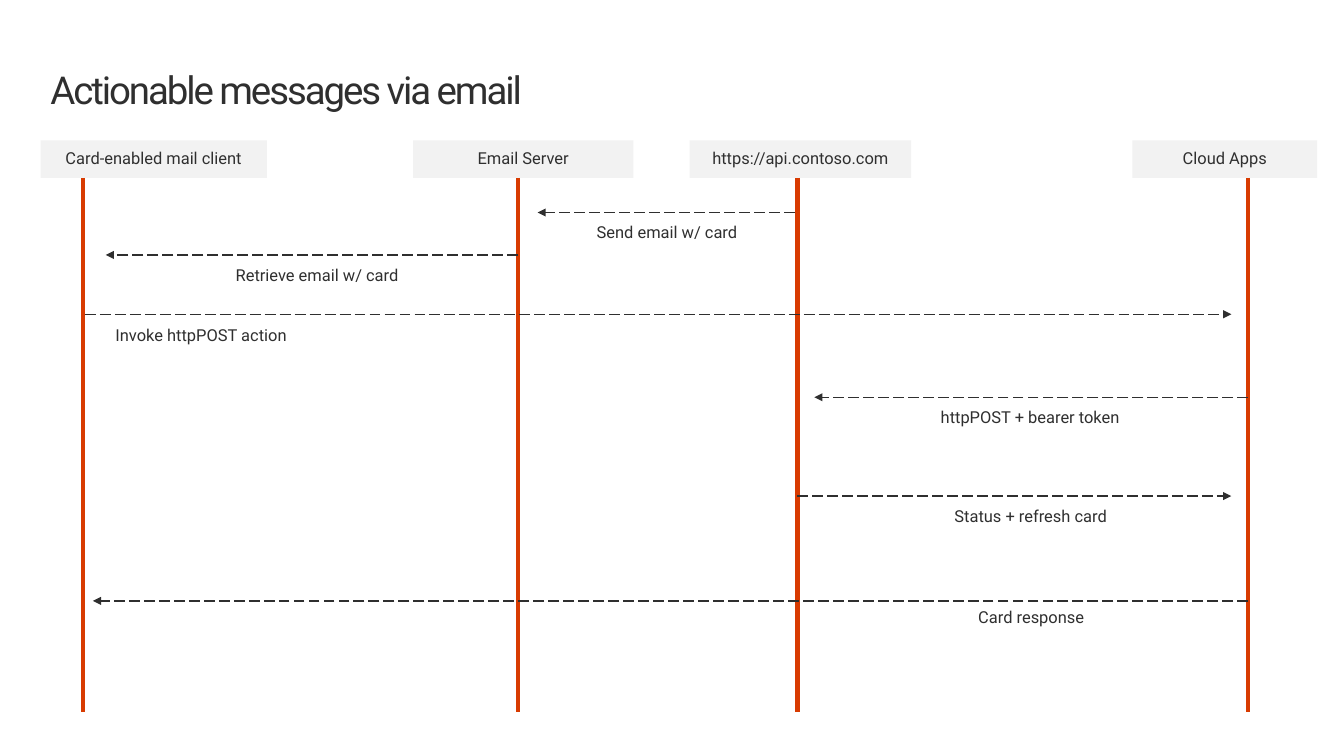
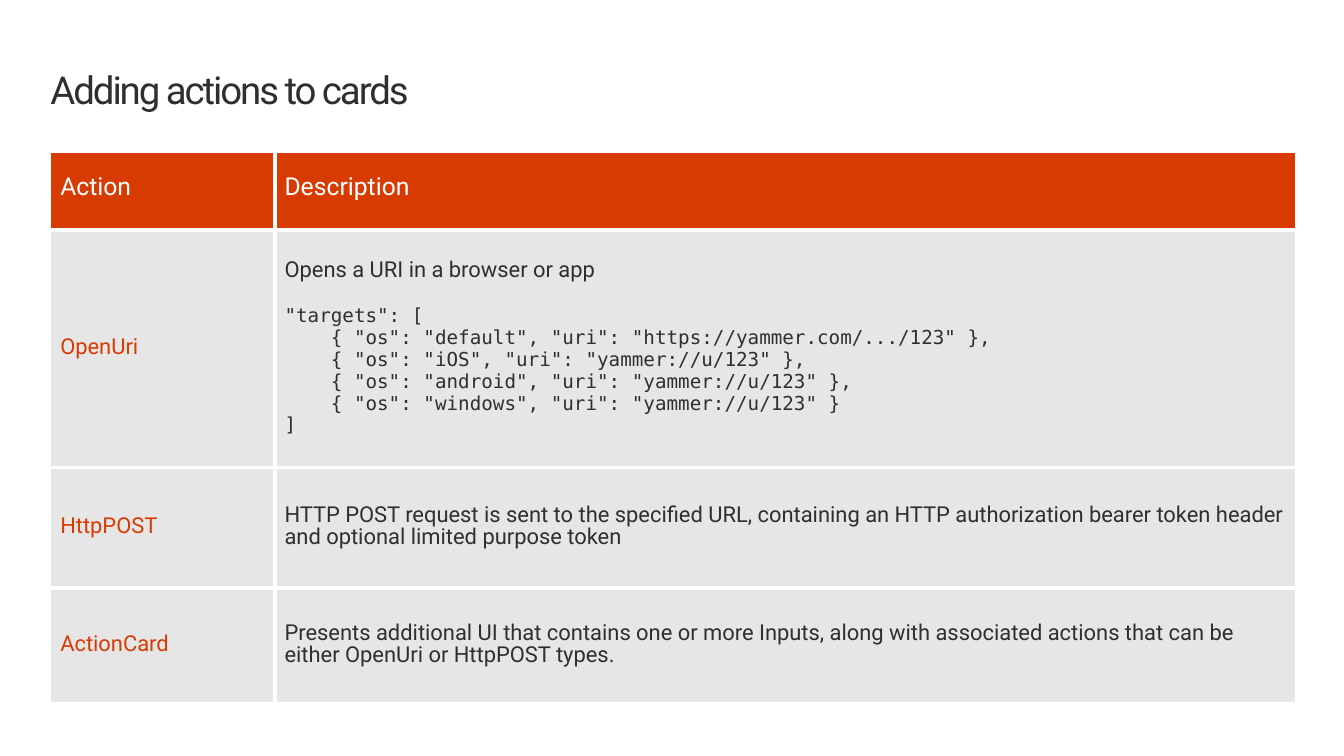
import lxml.etree
import pptx
import pptx.dml.color
import pptx.enum.dml
import pptx.enum.shapes
import pptx.enum.text
import pptx.oxml
import pptx.oxml.ns
import pptx.util

EMU_PER_PX = 9144
LEFT = pptx.enum.text.PP_ALIGN.LEFT
CENTER = pptx.enum.text.PP_ALIGN.CENTER
MIDDLE = pptx.enum.text.MSO_ANCHOR.MIDDLE


def px(length):
    return pptx.util.Emu(length * EMU_PER_PX)


def color(value):
    return pptx.dml.color.RGBColor.from_string(value)


class Deck:
    FONT = "Roboto"
    CODE_FONT = "DejaVu Sans Mono"
    INK = "2F2F2F"
    ACCENT = "D83B01"
    PAPER = "FFFFFF"
    ACTOR_FILL = "F2F2F2"
    CELL_FILL = "E6E6E6"

    def __init__(self, width, height):
        self.presentation = pptx.Presentation()
        self.presentation.slide_width = px(width)
        self.presentation.slide_height = px(height)
        self.slide = None

    def add_slide(self, title):
        self.slide = self.presentation.slides.add_slide(self.presentation.slide_layouts[6])
        frame = self.text_box(51, 69, 1261, 45, margin=0)
        frame.word_wrap = True
        frame.text = title
        paragraph = frame.paragraphs[0]
        self.style(paragraph, 28, spacing=pptx.util.Pt(32))
        paragraph.runs[0].font._element.set("spc", "-150")

    def style(self, paragraph, size, ink=INK, font=FONT, align=LEFT, spacing=0.9):
        paragraph.alignment = align
        paragraph.line_spacing = spacing
        for run in paragraph.runs:
            run.font.name = font
            run.font.size = pptx.util.Pt(size)
            run.font.color.rgb = color(ink)

    def set_margins(self, frame, horizontal, vertical):
        frame.margin_left = frame.margin_right = px(horizontal)
        frame.margin_top = frame.margin_bottom = px(vertical)

    def text_box(self, left, top, width, height, margin):
        frame = self.slide.shapes.add_textbox(px(left), px(top), px(width), px(height)).text_frame
        self.set_margins(frame, margin, margin)
        frame.auto_size = pptx.enum.text.MSO_AUTO_SIZE.SHAPE_TO_FIT_TEXT
        return frame

    def label(self, text, left, top, width, align):
        frame = self.text_box(left, top, width, 38, margin=10)
        frame.word_wrap = False
        frame.vertical_anchor = MIDDLE
        frame.text = text
        self.style(frame.paragraphs[0], 12, align=align)
        frame.paragraphs[0].space_after = pptx.util.Pt(6)

    def actor(self, text, left, width, top, height):
        shape = self.slide.shapes.add_shape(
            pptx.enum.shapes.MSO_SHAPE.RECTANGLE, px(left), px(top), px(width), px(height))
        shape.shadow.inherit = False
        shape.fill.solid()
        shape.fill.fore_color.rgb = color(self.ACTOR_FILL)
        shape.line.fill.background()
        frame = shape.text_frame
        self.set_margins(frame, 20, 16)
        frame.vertical_anchor = MIDDLE
        frame.text = text
        self.style(frame.paragraphs[0], 12, align=CENTER)

    def line(self, start, end, ink, width):
        connector = self.slide.shapes.add_connector(
            pptx.enum.shapes.MSO_CONNECTOR.STRAIGHT, *map(px, start + end))
        connector.line.color.rgb = color(ink)
        connector.line.width = pptx.util.Pt(width)
        lxml.etree.SubElement(connector._element.spPr, pptx.oxml.ns.qn("a:effectLst"))
        return connector

    def lifeline(self, x, top, bottom):
        self.line((x, top), (x, bottom), self.ACCENT, 3)

    def message(self, start, end, y):
        line = self.line((start, y), (end, y), self.INK, 1).line
        line.dash_style = pptx.enum.dml.MSO_LINE.LONG_DASH
        lxml.etree.SubElement(
            line._get_or_add_ln(), pptx.oxml.ns.qn("a:tailEnd"), type="triangle")

    def cell(self, cell, text, fill, sides):
        properties = cell._tc.get_or_add_tcPr()
        for side in sides:
            properties.append(pptx.oxml.parse_xml(
                f'<a:ln{side} {pptx.oxml.ns.nsdecls("a")} w="38100"><a:solidFill>'
                f'<a:srgbClr val="{self.PAPER}"/></a:solidFill></a:ln{side}>'))
        cell.fill.solid()
        cell.fill.fore_color.rgb = color(fill)
        cell.vertical_anchor = MIDDLE
        cell.text_frame.text = text

    def table(self, left, top, widths, heights, rows):
        table = self.slide.shapes.add_table(
            len(rows), len(widths), px(left), px(top), px(sum(widths)), px(sum(heights))).table
        for column, width in zip(table.columns, widths):
            column.width = px(width)
        for row, height in zip(table.rows, heights):
            row.height = px(height)
        for row_index, row in enumerate(rows):
            header = row_index == 0
            for column_index, text in enumerate(row):
                cell = table.cell(row_index, column_index)
                self.cell(cell, text, self.ACCENT if header else self.CELL_FILL,
                          "LRTB" if column_index else "RTB")
                ink = self.PAPER if header else self.INK if column_index else self.ACCENT
                for paragraph in cell.text_frame.paragraphs:
                    self.style(paragraph, 18 if header else 16, ink, spacing=pptx.util.Pt(16))
        return table

    def code(self, paragraphs):
        for paragraph in paragraphs:
            self.style(paragraph, 14, font=self.CODE_FONT, spacing=pptx.util.Pt(16))
        paragraphs[0].space_before = pptx.util.Pt(16)


ACTORS = [
    ("Card-enabled mail client", 41, 229, 84),
    ("Email Server", 418, 223, 524),
    ("https://api.contoso.com", 698, 224, 807),
    ("Cloud Apps", 1146, 187, 1263),
]

MESSAGES = [
    (804, 544, 215, "Send email w/ card", 592, 217, 166, CENTER),
    (524, 107, 258, "Retrieve email w/ card", 226, 260, 190, CENTER),
    (86, 1246, 318, "Invoke httpPOST action", 107, 321, 200, LEFT),
    (1263, 824, 402, "httpPOST + bearer token", 937, 404, 211, CENTER),
    (807, 1246, 502, "Status + refresh card", 954, 504, 178, CENTER),
    (1263, 94, 608, "Card response", 979, 607, 129, CENTER),
]

OPEN_URI = """Opens a URI in a browser or app
"targets": [
    { "os": "default", "uri": "https://yammer.com/.../123" },
    { "os": "iOS", "uri": "yammer://u/123" },
    { "os": "android", "uri": "yammer://u/123" },
    { "os": "windows", "uri": "yammer://u/123" }
]"""

ACTIONS = [
    ("Action", "Description"),
    ("OpenUri", OPEN_URI),
    ("HttpPOST", "HTTP POST request is sent to the specified URL, containing an HTTP "
                 "authorization bearer token header and optional limited purpose token"),
    ("ActionCard", "Presents additional UI that contains one or more Inputs, along with "
                   "associated actions that can be either OpenUri or HttpPOST types."),
]


def main():
    deck = Deck(1360, 765)

    deck.add_slide("Actionable messages via email")
    for name, left, width, lifeline in ACTORS:
        deck.actor(name, left, width, top=142, height=38)
        deck.lifeline(lifeline, top=180, bottom=720)
    for start, end, y, text, left, top, width, align in MESSAGES:
        deck.message(start, end, y)
        deck.label(text, left, top, width, align)

    deck.add_slide("Adding actions to cards")
    table = deck.table(51, 153, (227, 1034), (80, 240, 122, 117), ACTIONS)
    deck.code(table.cell(1, 1).text_frame.paragraphs[1:])

    deck.presentation.save("out.pptx")


if __name__ == "__main__":
    main()
